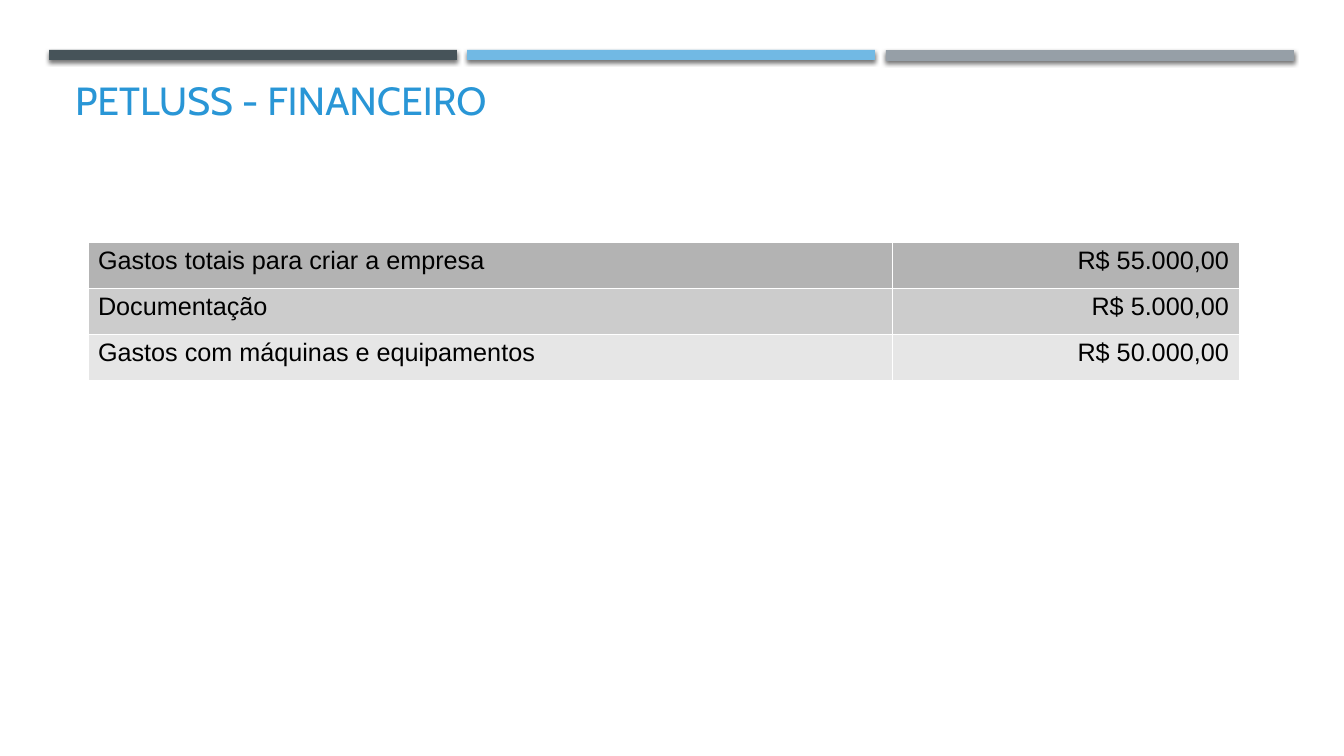
from lxml import etree
from pptx import Presentation
from pptx.dml.color import RGBColor
from pptx.enum import shapes, text
from pptx.oxml import ns
from pptx.util import Pt

SLATE = RGBColor(0x46, 0x53, 0x59)
SKY = RGBColor(0x71, 0xB9, 0xE4)
STEEL = RGBColor(0x96, 0x9F, 0xA7)
BLUE = RGBColor(0x29, 0x96, 0xD6)
BLACK = RGBColor(0, 0, 0)
WHITE = RGBColor(255, 255, 255)
GREYS = [RGBColor(tone, tone, tone) for tone in (0xB3, 0xCC, 0xE6)]

TITLE = "PETLUSS - FINANCEIRO"
COSTS = [
    ("Gastos totais para criar a empresa", "R$ 55.000,00"),
    ("Documentação", "R$ 5.000,00"),
    ("Gastos com máquinas e equipamentos", "R$ 50.000,00"),
]
BARS = [(SLATE, 10), (SKY, 10), (STEEL, 11)]
COLS = (804, 347)
ROW = 46


def px(n):
    return round(n * 914400 / 100.8)


def sub(node, tag, **attrs):
    return etree.SubElement(node, ns.qn(tag), attrs)


def shade(list_el, blur, dist, angle, alpha):
    shadow = sub(list_el, "a:outerShdw", blurRad=str(Pt(blur)), dist=str(Pt(dist)),
                 dir=str(angle * 60000), algn="t", rotWithShape="0")
    color = sub(shadow, "a:srgbClr", val="000000")
    sub(color, "a:alpha", val=str(alpha * 1000))


def border(cell):
    props = cell._tc.get_or_add_tcPr()
    for i, side in enumerate("LRTB"):
        line = etree.Element(ns.qn("a:ln" + side), w="762")
        fill = sub(line, "a:solidFill")
        sub(fill, "a:srgbClr", val=str(WHITE))
        props.insert(i, line)


def style(run, font, size, color):
    run.font.size = Pt(size)
    run.font.color.rgb = color
    run.font.name = font


prs = Presentation()
prs.slide_width, prs.slide_height = px(1344), px(756)
slide = prs.slides.add_slide(prs.slide_layouts[5])

for i, (color, high) in enumerate(BARS):
    bar = slide.shapes.add_shape(shapes.MSO_SHAPE.RECTANGLE,
                                 px(49 + i * 837 // 2), px(50), px(408), px(high))
    bar.fill.solid()
    bar.fill.fore_color.rgb = color
    bar.line.fill.background()
    bar.shadow.inherit = False
    shade(bar._element.spPr.find(ns.qn("a:effectLst")), 3, 2, 90, 55)

title = slide.shapes.title
title.left, title.top, title.width, title.height = px(65), px(73), px(1216), px(55)
frame = title.text_frame
frame.text = TITLE
frame.word_wrap = True
frame.auto_size = text.MSO_AUTO_SIZE.NONE
frame.vertical_anchor = text.MSO_ANCHOR.BOTTOM
head = frame.paragraphs[0]
head.alignment = text.PP_ALIGN.LEFT
style(head.runs[0], "Cabin", 28, BLUE)
glow = etree.Element(ns.qn("a:effectLst"))
shade(glow, 3, 3, 45, 43)
head.runs[0].font._element.find(ns.qn("a:latin")).addprevious(glow)

table = slide.shapes.add_table(len(COSTS), len(COLS), px(88), px(242),
                               px(sum(COLS)), px(ROW * len(COSTS))).table
for col, wide in zip(table.columns, COLS):
    col.width = px(wide)
for r, (pair, grey) in enumerate(zip(COSTS, GREYS)):
    table.rows[r].height = px(ROW)
    for c, label in enumerate(pair):
        cell = table.cell(r, c)
        cell.text = label
        cell.fill.solid()
        cell.fill.fore_color.rgb = grey
        border(cell)
        para = cell.text_frame.paragraphs[0]
        para.alignment = text.PP_ALIGN.RIGHT if c else text.PP_ALIGN.LEFT
        style(para.runs[0], "Arial", 18, BLACK)
        para.runs[0].font.bold = False

prs.save("out.pptx")
